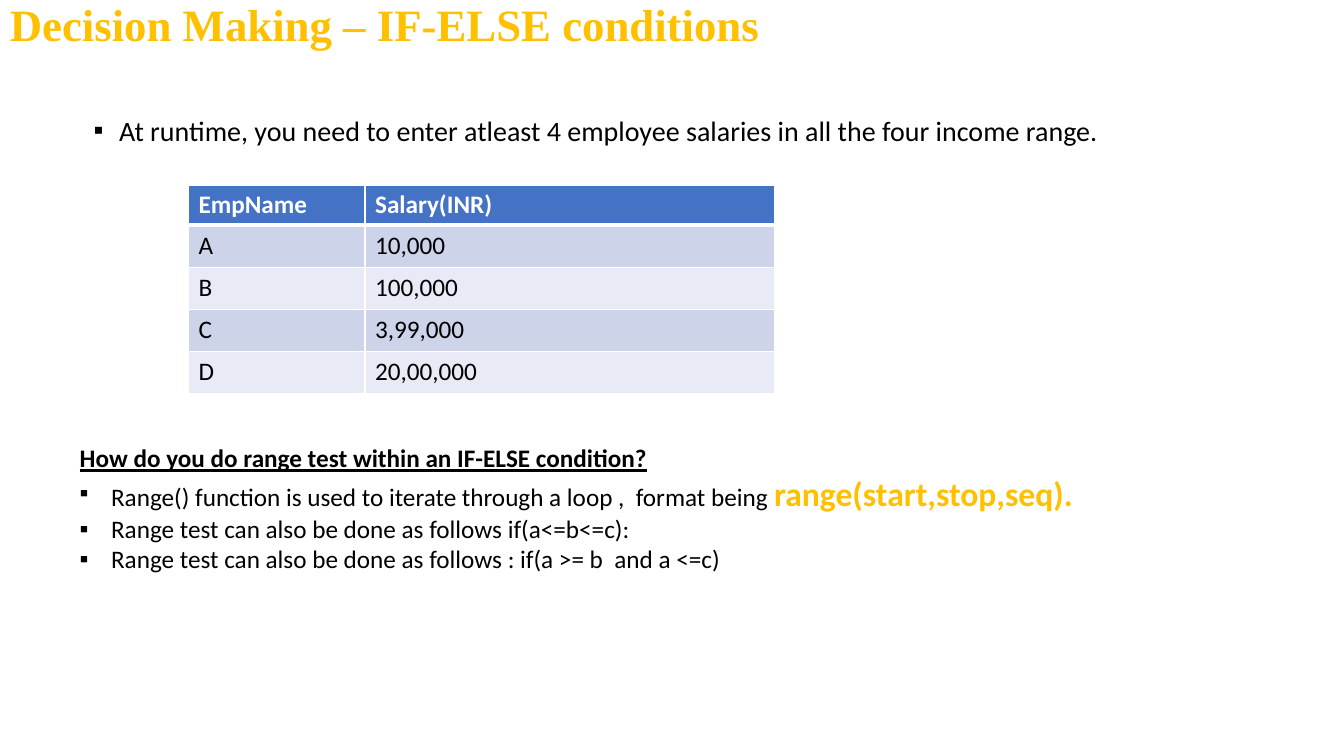
from lxml.etree import SubElement
from pptx import Presentation
from pptx.dml.color import RGBColor
from pptx.enum.text import MSO_ANCHOR
from pptx.oxml.ns import qn
from pptx.util import Cm, Pt

BLACK, WHITE, GOLD, BLUE = "000000", "FFFFFF", "FFC000", "4472C4"
BANDS = ["CDD4EA", "E8EBF5"]


def add_run(paragraph, text, size=18, color=BLACK, name="Calibri", **styles):
    run = paragraph.add_run()
    run.text = text
    run.font.color.rgb = RGBColor.from_string(color)
    for key, value in {"size": Pt(size), "name": name, **styles}.items():
        setattr(run.font, key, value)


def add_bullet(paragraph, indent):
    """Give the paragraph a black square bullet with a hanging indent in cm."""
    properties = paragraph._p.get_or_add_pPr()
    properties.set("marL", str(Cm(indent)))
    properties.set("indent", str(-Cm(indent)))
    bullet_color = SubElement(properties, qn("a:buClr"))
    SubElement(bullet_color, qn("a:srgbClr"), val=BLACK)
    SubElement(properties, qn("a:buFont"), typeface="Arial")
    SubElement(properties, qn("a:buChar"), char="▪")


presentation = Presentation()
presentation.slide_width, presentation.slide_height = Cm(33.87), Cm(19.05)
slide = presentation.slides.add_slide(presentation.slide_layouts[6])

# Text boxes: left, top, width, height in cm
places = [
    (0, 0, 19.81, 1.37),
    (2.11, 2.82, 28.45, 14.22),
    (1.76, 11.03, 28.73, 3.58),
]
frames = []
for place in places:
    frame = slide.shapes.add_textbox(*map(Cm, place)).text_frame
    frame.word_wrap = True
    frames.append(frame)
title_frame, task_frame, range_frame = frames

title_frame.vertical_anchor = MSO_ANCHOR.MIDDLE
title = title_frame.paragraphs[0]
title.line_spacing = 0.9
add_run(title, "Decision Making – IF-ELSE conditions", 32, GOLD, "Times New Roman", bold=True)

task = task_frame.paragraphs[0]
task.line_spacing = 0.9
add_bullet(task, 0.64)
add_run(task, "At runtime, you need to enter atleast 4 employee salaries in all the four income range.", 20)

# Salary table
salaries = [
    ("EmpName", "Salary(INR)"),
    ("A", "10,000"),
    ("B", "100,000"),
    ("C", "3,99,000"),
    ("D", "20,00,000"),
]
column_widths = [4.45, 10.31]
table = slide.shapes.add_table(
    len(salaries), len(column_widths), Cm(4.75), Cm(4.66), Cm(sum(column_widths)), Cm(5.06)
).table
for column, width in zip(table.columns, column_widths):
    column.width = Cm(width)
for row_index, values in enumerate(salaries):
    is_header = row_index == 0
    table.rows[row_index].height = Cm(0.86 if is_header else 1.06)
    fill_color = BLUE if is_header else BANDS[(row_index - 1) % 2]
    border_widths = {
        "a:lnL": 1,
        "a:lnR": 1,
        "a:lnT": 3 if row_index == 1 else 1,
        "a:lnB": 3 if is_header else 1,
    }
    for cell, value in zip(table.rows[row_index].cells, values):
        for side, width in border_widths.items():
            border = SubElement(cell._tc.get_or_add_tcPr(), qn(side), w=str(Pt(width)))
            SubElement(SubElement(border, qn("a:solidFill")), qn("a:srgbClr"), val=WHITE)
        cell.fill.solid()
        cell.fill.fore_color.rgb = RGBColor.from_string(fill_color)
        add_run(cell.text_frame.paragraphs[0], value,
                color=WHITE if is_header else BLACK, bold=is_header)

# Range test notes: text and highlighted ending
question = range_frame.paragraphs[0]
add_run(question, "How do you do range test within an IF-ELSE condition?", bold=True, underline=True)
answers = [
    ("Range() function is used to iterate through a loop ,  format being ", "range(start,stop,seq)."),
    ("Range test can also be done as follows if(a<=b<=c):", ""),
    ("Range test can also be done as follows : if(a >= b  and a <=c)", ""),
]
for text, highlight in answers:
    answer = range_frame.add_paragraph()
    add_bullet(answer, 0.79)
    add_run(answer, text)
    if highlight:
        add_run(answer, highlight, 24, GOLD, bold=True)

presentation.save("out.pptx")
